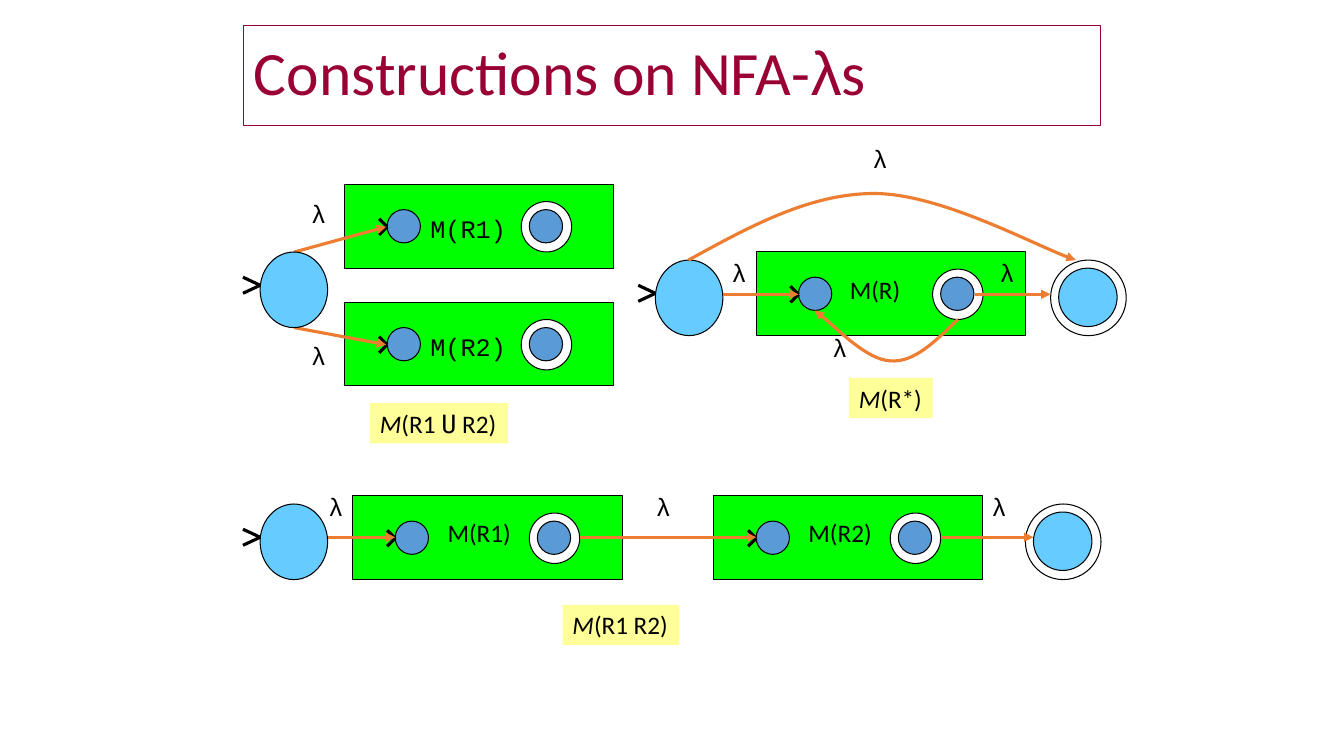
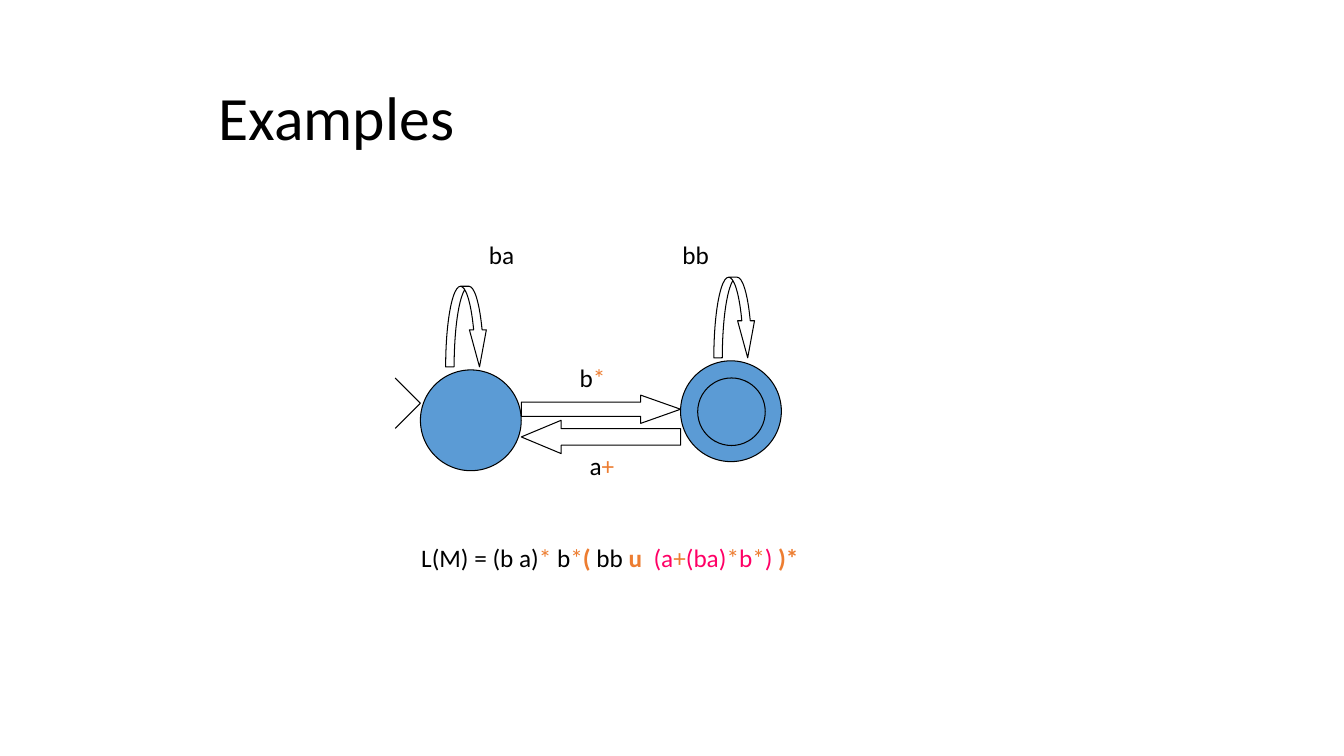
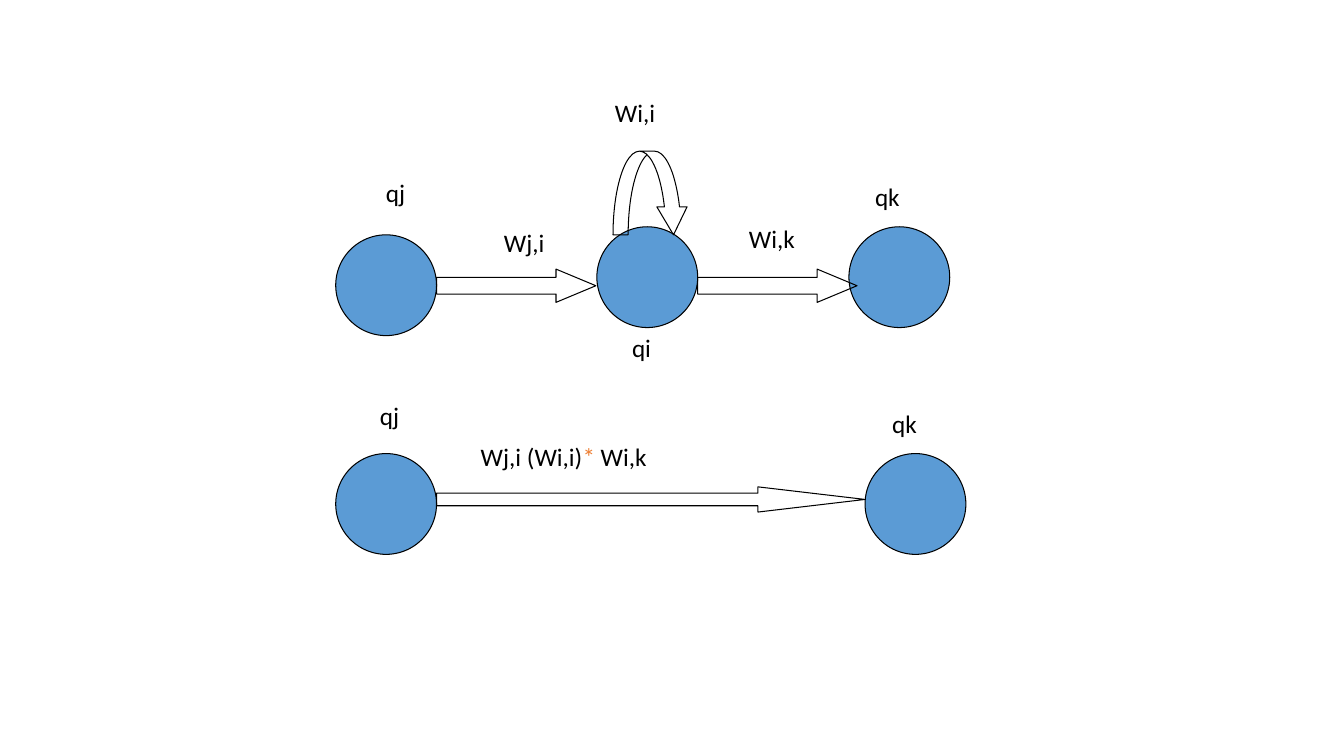
from lxml.etree import SubElement
from pptx import Presentation
from pptx.dml.color import RGBColor
from pptx.enum.shapes import MSO_CONNECTOR, MSO_SHAPE
from pptx.enum.text import MSO_ANCHOR, MSO_AUTO_SIZE
from pptx.oxml.ns import qn
from pptx.util import Inches, Pt

COLORS = {
    "ink": "000000", "white": "FFFFFF", "maroon": "990033", "green": "00FF00",
    "state": "5B9BD5", "outer": "66CCFF", "orange": "ED7D31",
    "caption": "FFFF99", "pink": "FF0066",
}
BODY = {"name": "Calibri", "size": Pt(18), "bold": False, "italic": False}
TITLE = {**BODY, "size": Pt(44)}
GREEK = {"name": "Arial"}
CODE = {"name": "Courier New"}
BOLD = {"bold": True}
ITALIC = {"italic": True}
STATE_SIZE = 1
LABEL_HEIGHT = 0.4
LAMBDA = [("λ", "ink", GREEK)]


def color(name):
    return RGBColor.from_string(COLORS[name])


# Shared text, shapes and lines
def write(paragraph, runs, base=BODY):
    """Each run is a string, or (text, colour, changes to the base format)."""
    for item in runs:
        text, ink, changes = item if isinstance(item, tuple) else (item, "ink", {})
        run = paragraph.add_run()
        run.text = text
        for attribute, value in {**base, **changes}.items():
            setattr(run.font, attribute, value)
        run.font.color.rgb = color(ink)


def add_label(slide, left, top, width, runs, fill=None):
    box = slide.shapes.add_textbox(
        Inches(left), Inches(top), Inches(width), Inches(LABEL_HEIGHT))
    box.text_frame.word_wrap = False
    box.text_frame.auto_size = MSO_AUTO_SIZE.SHAPE_TO_FIT_TEXT
    if fill:
        box.fill.solid()
        box.fill.fore_color.rgb = color(fill)
    write(box.text_frame.paragraphs[0], runs)


def add_title(slide, left, top, width, height, runs, border=None):
    box = slide.shapes.add_textbox(
        Inches(left), Inches(top), Inches(width), Inches(height))
    box.text_frame.word_wrap = True
    box.text_frame.vertical_anchor = MSO_ANCHOR.MIDDLE
    if border:
        box.line.color.rgb = color(border)
        box.line.width = Pt(0.75)
    paragraph = box.text_frame.paragraphs[0]
    paragraph.line_spacing = 0.9
    write(paragraph, runs, TITLE)


def add_outlined(slide, kind, left, top, width, height, fill=None, adjustments=()):
    shape = slide.shapes.add_shape(
        kind, Inches(left), Inches(top), Inches(width), Inches(height))
    shape.shadow.inherit = False
    if fill:
        shape.fill.solid()
        shape.fill.fore_color.rgb = color(fill)
    else:
        shape.fill.background()
    shape.line.color.rgb = color("ink")
    shape.line.width = Pt(0.75)
    for index, value in enumerate(adjustments):
        shape.adjustments[index] = value


def add_circle(slide, left, top, size, fill=None):
    add_outlined(slide, MSO_SHAPE.OVAL, left, top, size, size, fill)


def add_arrowhead(shape):
    line = shape.line._get_or_add_ln()
    SubElement(line, qn("a:tailEnd"), type="triangle")


def add_line(slide, start, end, ink="ink", weight=2.25, arrow=False):
    connector = slide.shapes.add_connector(
        MSO_CONNECTOR.STRAIGHT, *(Inches(value) for value in (*start, *end)))
    connector.line.color.rgb = color(ink)
    connector.line.width = Pt(weight)
    if arrow:
        add_arrowhead(connector)
    SubElement(connector.element.spPr, qn("a:effectLst"))


def add_chevron(slide, tip, depth, half_height, weight=2.25):
    x, y = tip
    for side in (-half_height, half_height):
        add_line(slide, (x - depth, y + side), tip, weight=weight)


def add_curve(slide, points):
    """Draw an arrow through cubic curves: a start, then triples of points."""
    scaled = [(Inches(x), Inches(y)) for x, y in points]
    builder = slide.shapes.build_freeform(*scaled[0])
    builder.add_line_segments(scaled[1:], close=False)
    curve = builder.convert_to_shape()
    segments = curve.element.xpath(".//a:lnTo")
    for first in range(0, len(segments), 3):
        head, *others = segments[first:first + 3]
        head.tag = qn("a:cubicBezTo")
        for segment in others:
            head.append(segment[0])
            segment.getparent().remove(segment)
    curve.shadow.inherit = False
    curve.fill.background()
    curve.line.color.rgb = color("orange")
    curve.line.width = Pt(2.25)
    add_arrowhead(curve)


# Parts of the construction diagrams
def add_machine(slide, left, top):
    add_outlined(slide, MSO_SHAPE.RECTANGLE, left, top, 2.67, 0.83, "green")
    add_circle(slide, left + 1.75, top + 0.17, 0.5, "white")
    for offset in (0.42, 1.83):
        add_circle(slide, left + offset, top + 0.25, 0.33, "state")
    add_chevron(slide, (left + 0.42, top + 0.42), 0.08, 0.08)


def add_start(slide, left, top):
    add_outlined(slide, MSO_SHAPE.OVAL, left, top, 0.67, 0.75, "outer")
    add_chevron(slide, (left, top + 0.33), 0.17, 0.08)


def add_accept(slide, left, top):
    add_circle(slide, left + 0.08, top + 0.08, 0.58, "outer")
    add_circle(slide, left, top, 0.75)


def add_transitions(slide, arrows, lambdas):
    for start, end in arrows:
        add_line(slide, start, end, "orange", arrow=True)
    for left, top in lambdas:
        add_label(slide, left, top, 0.34, LAMBDA)


def add_union(slide, left, top):
    for index, name in enumerate(("M(R1)", "M(R2)")):
        machine_top = top + index * 1.17
        add_machine(slide, left + 1, machine_top)
        add_label(slide, left + 1.75, machine_top + 0.24, 0.95, [(name, "ink", CODE)])
    add_transitions(
        slide,
        [((left + 0.5, top + 0.67), (left + 1.41, top + 0.42)),
         ((left + 0.5, top + 1.42), (left + 1.41, top + 1.59))],
        [(left + 0.58, top + 0.09), (left + 0.58, top + 1.5)])
    add_start(slide, left + 0.16, top + 0.67)
    add_label(slide, left + 1.25, top + 2.17, 1.37,
              [("M", "ink", ITALIC), "(R1 ",
               ("U", "ink", {"name": "DejaVu Sans Mono"}), " R2)"], "caption")


def add_star(slide, left, top):
    add_machine(slide, left + 1.17, top + 0.58)
    add_start(slide, left + 0.17, top + 0.66)
    add_accept(slide, left + 4.09, top + 0.66)
    middle = top + 1
    add_transitions(
        slide,
        [((left + 0.84, middle), (left + 1.59, middle)),
         ((left + 3.34, middle), (left + 4.09, middle))],
        [(left + 2.24, top - 0.55), (left + 3.5, top + 0.58),
         (left + 0.84, top + 0.58), (left + 1.84, top + 1.33)])
    skip = [(0.5, 0.66), (1.1, 0.33), (1.7, 0), (2.34, 0),
            (2.98, 0), (4, 0.55), (4.34, 0.66)]
    repeat = [(3.17, 1.25), (2.95, 1.46), (2.74, 1.68), (2.5, 1.66),
              (2.27, 1.65), (1.88, 1.25), (1.75, 1.16)]
    for points in (skip, repeat):
        add_curve(slide, [(left + x, top + y) for x, y in points])
    add_label(slide, left + 2, top + 0.75, 0.77, ["M(R)"])
    add_label(slide, left + 2.09, top + 1.83, 0.83,
              [("M", "ink", ITALIC), "(R*)"], "caption")


def add_concatenation(slide, left, top):
    for offset, name in ((1.08, "M(R1)"), (4.66, "M(R2)")):
        add_machine(slide, left + offset, top)
        add_label(slide, left + offset + 0.84, top + 0.16, 0.89, [name])
    add_start(slide, left + 0.16, top + 0.08)
    add_accept(slide, left + 7.75, top + 0.08)
    middle = top + 0.41
    add_transitions(
        slide,
        [((left + start, middle), (left + end, middle))
         for start, end in ((0.83, 1.5), (3.33, 5.08), (6.91, 7.83))],
        [(left + x, top - 0.09) for x in (0.75, 4, 7.33)])
    add_label(slide, left + 3.16, top + 1.08, 1.16,
              [("M", "ink", ITALIC), "(R1 R2)"], "caption")


# Parts of the state diagrams
def add_state(slide, left, top):
    add_circle(slide, left, top, STATE_SIZE, "state")


def add_block_arrow(slide, kind, left, top, width, height):
    """The head of the arrow is a quarter of its length."""
    add_outlined(slide, kind, left, top, width, height,
                 adjustments=(0.5, width / height / 4))


def add_loop(slide, left, top, width, height, head):
    add_outlined(slide, MSO_SHAPE.CURVED_DOWN_ARROW, left, top, width, height,
                 adjustments=(0.2, 0.4, head))


# Slides
def build_constructions(slide):
    add_title(slide, 2.42, 0.25, 8.5, 1,
              [("Constructions on NFA-", "maroon", {}), ("λ", "maroon", GREEK),
               ("s", "maroon", {})], "maroon")
    add_union(slide, 2.42, 1.83)
    add_star(slide, 6.33, 1.92)
    add_concatenation(slide, 2.42, 4.92)


def build_examples(slide):
    add_title(slide, 2.07, 0.47, 9.56, 1.45, ["Examples"])
    star, plus = ("*", "orange", {}), ("+", "orange", {})

    # States with their loops
    for left, top, loop_left in ((4.17, 3.67, 4.42), (6.75, 3.58, 7.08)):
        add_state(slide, left, top)
        add_loop(slide, loop_left, top - 0.83, 0.42, 0.8, 0.875)
    add_circle(slide, 6.92, 3.75, 0.67, "state")
    add_chevron(slide, (4.17, 4), 0.25, 0.25, weight=0.75)

    # Transitions
    add_block_arrow(slide, MSO_SHAPE.RIGHT_ARROW, 5.17, 3.92, 1.58, 0.28)
    add_block_arrow(slide, MSO_SHAPE.LEFT_ARROW, 5.17, 4.17, 1.58, 0.33)
    for left, top, width, runs in (
            (4.75, 2.33, 0.46, ["ba"]), (6.67, 2.33, 0.47, ["bb"]),
            (5.65, 3.55, 0.46, ["b", star]), (5.75, 4.42, 0.45, ["a", plus])):
        add_label(slide, left, top, width, runs)

    # Language of the automaton
    add_label(slide, 4.08, 5.33, 4, [
        "L(M) = (b a)", star, " b", star, ("( ", "orange", BOLD), "bb ",
        ("u  ", "orange", BOLD), ("(a", "pink", {}), plus, ("(ba)", "pink", {}),
        star, ("b", "pink", {}), star, (") ", "pink", {}), (")*", "orange", BOLD)])


def build_elimination(slide):
    # Loop lies behind no state, so states come first
    for left, top in ((3.33, 2.33), (5.92, 2.25), (8.42, 2.25),
                      (3.33, 4.5), (8.58, 4.5)):
        add_state(slide, left, top)
    for left, top, width, height in ((4.33, 2.67, 1.58, 0.33),
                                     (6.92, 2.67, 1.58, 0.33),
                                     (4.33, 4.83, 4.25, 0.25)):
        add_block_arrow(slide, MSO_SHAPE.RIGHT_ARROW, left, top, width, height)
    add_loop(slide, 6.08, 1.5, 0.75, 0.83, 0.37)

    # State names and transition words
    for left, top, width, runs in (
            (3.73, 1.71, 0.39, ["qj"]), (8.58, 1.75, 0.45, ["qk"]),
            (6.17, 3.25, 0.39, ["qi"]), (3.67, 3.92, 0.39, ["qj"]),
            (8.75, 4, 0.45, ["qk"]), (4.9, 2.21, 0.61, ["Wj,i"]),
            (7.33, 2.17, 0.66, ["Wi,k"]), (6, 0.92, 0.61, ["Wi,i"]),
            (4.67, 4.33, 1.87, ["Wj,i (Wi,i)", ("*", "orange", {}), " Wi,k"])):
        add_label(slide, left, top, width, runs)


def main():
    presentation = Presentation()
    presentation.slide_width = Inches(13.33)
    presentation.slide_height = Inches(7.5)
    for build in (build_constructions, build_examples, build_elimination):
        build(presentation.slides.add_slide(presentation.slide_layouts[6]))
    presentation.save("out.pptx")


if __name__ == "__main__":
    main()
